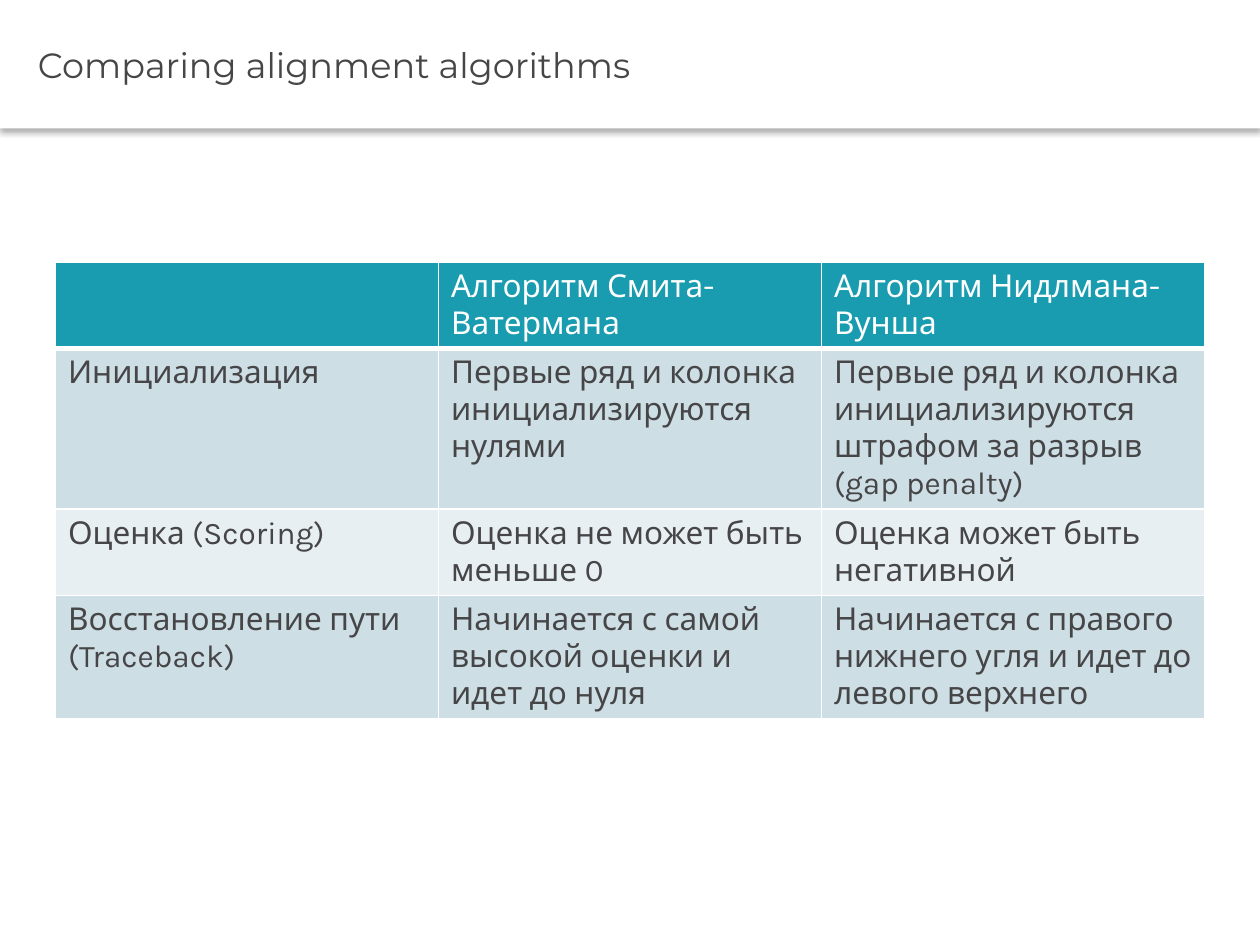
from dataclasses import dataclass

from lxml import etree
from pptx import Presentation
from pptx import util as u
from pptx.dml.color import RGBColor
from pptx.enum import text
from pptx.oxml import ns

COLORS = {
    "white": "FFFFFF",
    "ink": "464547",
    "header": "1A9CB0",
    "band_dark": "CDDEE4",
    "band_light": "E8EFF2",
    "shadow": "000000",
}


@dataclass(frozen=True)
class Row:
    cells: tuple[str, str, str]
    fill: str
    color: str = "ink"
    bottom: int = 1


ROWS = [
    Row(("", "Алгоритм Смита-Ватермана", "Алгоритм Нидлмана-Вунша"),
        "header", "white", 3),
    Row(("Инициализация",
         "Первые ряд и колонка инициализируются нулями",
         "Первые ряд и колонка инициализируются штрафом за разрыв (gap penalty)"),
        "band_dark"),
    Row(("Оценка (Scoring)",
         "Оценка не может быть меньше 0",
         "Оценка может быть негативной"),
        "band_light"),
    Row(("Восстановление пути (Traceback)",
         "Начинается с самой высокой оценки и идет до нуля",
         "Начинается с правого нижнего угля и идет до левого верхнего"),
        "band_dark"),
]


def rgb(name: str) -> RGBColor:
    return RGBColor.from_string(COLORS[name])


def sub(parent, tag: str, **attrs):
    return etree.SubElement(parent, ns.qn(tag), {k: str(v) for k, v in attrs.items()})


def style_text(p, font: str, size: int, color: str) -> None:
    p.font.name = font
    p.font.size = u.Pt(size)
    p.font.bold = False
    p.font.color.rgb = rgb(color)


def add_shadow(sp) -> None:
    effects = sub(sp._element.spPr, "a:effectLst")
    shadow = sub(effects, "a:outerShdw", blurRad=u.Pt(3.1), dist=u.Pt(2),
                 dir=90 * 60000, algn="t", rotWithShape=0)
    color = sub(shadow, "a:srgbClr", val=COLORS["shadow"])
    sub(color, "a:alpha", val=30000)


def set_borders(cell, bottom: int) -> None:
    tcPr = cell._tc.get_or_add_tcPr()
    for i, (side, width) in enumerate((("L", 1), ("R", 1), ("T", 1), ("B", bottom))):
        line = sub(tcPr, f"a:ln{side}", w=u.Pt(width))
        sub(sub(line, "a:solidFill"), "a:srgbClr", val=COLORS["white"])
        tcPr.insert(i, line)


def add_title(s, title: str) -> None:
    sp = s.shapes.title
    sp.left, sp.top = u.Inches(0), u.Inches(0)
    sp.width, sp.height = u.Inches(10), u.Inches(1.02)
    sp.fill.solid()
    sp.fill.fore_color.rgb = rgb("white")
    add_shadow(sp)
    tf = sp.text_frame
    tf.text = title
    tf.word_wrap = True
    tf.auto_size = text.MSO_AUTO_SIZE.NONE
    tf.vertical_anchor = text.MSO_ANCHOR.MIDDLE
    tf.margin_left, tf.margin_right = u.Inches(0.3), u.Inches(0.07)
    tf.margin_top = tf.margin_bottom = u.Inches(0.04)
    p = tf.paragraphs[0]
    p.alignment = text.PP_ALIGN.LEFT
    p.space_before = u.Pt(4)
    style_text(p, "Montserrat", 20, "ink")


def add_comparison(s, rows: list[Row]) -> None:
    frame = s.shapes.add_table(len(rows), 3, u.Inches(0.44), u.Inches(2.08),
                               u.Inches(9.12), u.Inches(0.41 * len(rows)))
    table = frame.table
    table.first_row = table.horz_banding = False
    for r, row in enumerate(rows):
        for c, words in enumerate(row.cells):
            cell = table.cell(r, c)
            cell.text = words
            cell.fill.solid()
            cell.fill.fore_color.rgb = rgb(row.fill)
            set_borders(cell, row.bottom)
            style_text(cell.text_frame.paragraphs[0], "Karla", 18, row.color)


def main() -> None:
    prs = Presentation()
    prs.slide_width, prs.slide_height = u.Inches(10), u.Inches(7.5)
    s = prs.slides.add_slide(prs.slide_layouts[5])
    add_comparison(s, ROWS)
    add_title(s, "Comparing alignment algorithms")
    prs.save("out.pptx")


if __name__ == "__main__":
    main()
